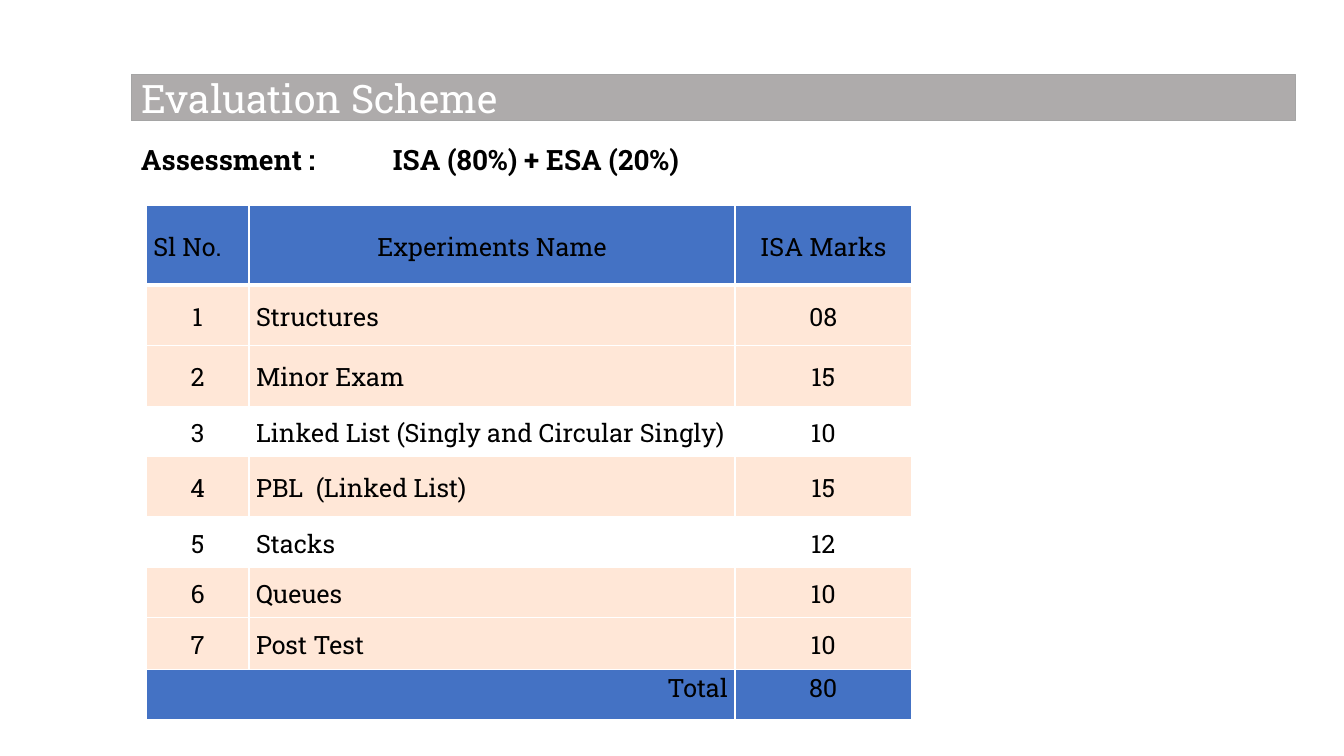
from dataclasses import dataclass

from lxml.etree import SubElement
from pptx import Presentation
from pptx.dml.color import RGBColor as RGB
from pptx.enum.text import MSO_ANCHOR as Anchor, MSO_AUTO_SIZE as Fit, PP_ALIGN as Align
from pptx.oxml.ns import qn
from pptx.util import Emu, Inches, Pt

WIDE, HIGH = Inches(13.33), Inches(7.5)
FONT = "Roboto Slab"
HUES = {"bar": "AEABAB", "edge": "A5A5A5", "head": "4472C4",
        "peach": "FFE7D7", "white": "FFFFFF", "black": "000000"}
COLS = (7.65, 36.16, 13.13)  # shares of the slide's width, in percent


@dataclass(frozen=True)
class Box:
    """Left, top, width and height in percent of the slide."""
    x: float
    y: float
    w: float
    h: float


@dataclass(frozen=True)
class Row:
    """Texts, height in percent of the slide, fill and format of a table row."""
    texts: tuple[str, str, str]
    high: float
    fill: str = "peach"
    aligns: tuple = (Align.CENTER, Align.LEFT, Align.CENTER)
    anchor: Anchor = Anchor.MIDDLE


BAR = Box(9.75, 9.87, 86.65, 6.13)
NOTE = Box(9.75, 18.13, 59.04, 5.87)
ROWS = (
    Row(("Sl No.", "Experiments Name", "ISA Marks"), 10.53, "head",
        (Align.LEFT, Align.CENTER, Align.CENTER)),
    Row(("1", "Structures", "08"), 8),
    Row(("2", "Minor Exam", "15"), 8),
    Row(("3", "Linked List (Singly and Circular Singly)", "10"), 6.67, "white"),
    Row(("4", "PBL  (Linked List)", "15"), 8),
    Row(("5", "Stacks", "12"), 6.67, "white"),
    Row(("6", "Queues", "10"), 6.67),
    Row(("7", "Post Test", "10"), 6.8),
    Row(("Total", "", "80"), 6.67, "head",
        (Align.RIGHT, Align.LEFT, Align.CENTER), Anchor.TOP),
)
GRID = Box(10.88, 27.2, sum(COLS), sum(row.high for row in ROWS))


def hue(name: str) -> RGB:
    return RGB.from_string(HUES[name])


def across(share: float) -> Emu:
    return Emu(round(WIDE * share / 100))


def down(share: float) -> Emu:
    return Emu(round(HIGH * share / 100))


def place(box: Box) -> tuple[Emu, Emu, Emu, Emu]:
    return across(box.x), down(box.y), across(box.w), down(box.h)


def write(frame, text: str, *, size: float = 18, color: str = "black",
          bold: bool = False, align: Align = Align.LEFT, lead: float = 1) -> None:
    frame.word_wrap = True
    para = frame.paragraphs[0]
    para.alignment, para.line_spacing = align, lead
    run = para.add_run()
    run.text = text
    font = run.font
    font.name, font.size, font.bold = FONT, Pt(size), bold
    font.color.rgb = hue(color)


def rule(cell, top: float, base: float) -> None:
    """Draw white cell borders, with the given top and bottom widths."""
    props = cell._tc.get_or_add_tcPr()
    sides = (("L", 1), ("R", 1), ("T", top), ("B", base))
    for spot, (side, wide) in enumerate(sides):
        line = SubElement(props, qn(f"a:ln{side}"), w=str(Pt(wide)))
        fill = SubElement(line, qn("a:solidFill"))
        SubElement(fill, qn("a:srgbClr"), val=HUES["white"])
        props.insert(spot, line)


def add_title(slide) -> None:
    title = slide.shapes.title
    title.left, title.top, title.width, title.height = place(BAR)
    title.fill.solid()
    title.fill.fore_color.rgb = hue("bar")
    title.line.color.rgb = hue("edge")
    title.line.width = Pt(0.75)
    frame = title.text_frame
    frame.auto_size, frame.vertical_anchor = Fit.NONE, Anchor.MIDDLE
    write(frame, "Evaluation Scheme", size=28, color="white")


def add_note(slide) -> None:
    frame = slide.shapes.add_textbox(*place(NOTE)).text_frame
    write(frame, "Assessment :\t\tISA (80%) + ESA (20%)", size=20, bold=True)
    frame.auto_size = Fit.SHAPE_TO_FIT_TEXT


def add_marks(slide) -> None:
    table = slide.shapes.add_table(len(ROWS), len(COLS), *place(GRID)).table
    for col, share in zip(table.columns, COLS):
        col.width = across(share)
    for i, row in enumerate(ROWS):
        table.rows[i].height = down(row.high)
        for j, (text, align) in enumerate(zip(row.texts, row.aligns)):
            cell = table.cell(i, j)
            cell.margin_left = cell.margin_right = Inches(0.07)
            cell.margin_top = cell.margin_bottom = 0
            cell.vertical_anchor = row.anchor
            cell.fill.solid()
            cell.fill.fore_color.rgb = hue(row.fill)
            rule(cell, 3 if i == 1 else 1, 3 if i == 0 else 1)
            if text:
                write(cell.text_frame, text, align=align, lead=1.07)
    last = len(ROWS) - 1
    table.cell(last, 0).merge(table.cell(last, 1))


def main() -> None:
    deck = Presentation()
    deck.slide_width, deck.slide_height = WIDE, HIGH
    slide = deck.slides.add_slide(deck.slide_layouts[5])
    add_marks(slide)
    add_title(slide)
    add_note(slide)
    deck.save("out.pptx")


if __name__ == "__main__":
    main()
